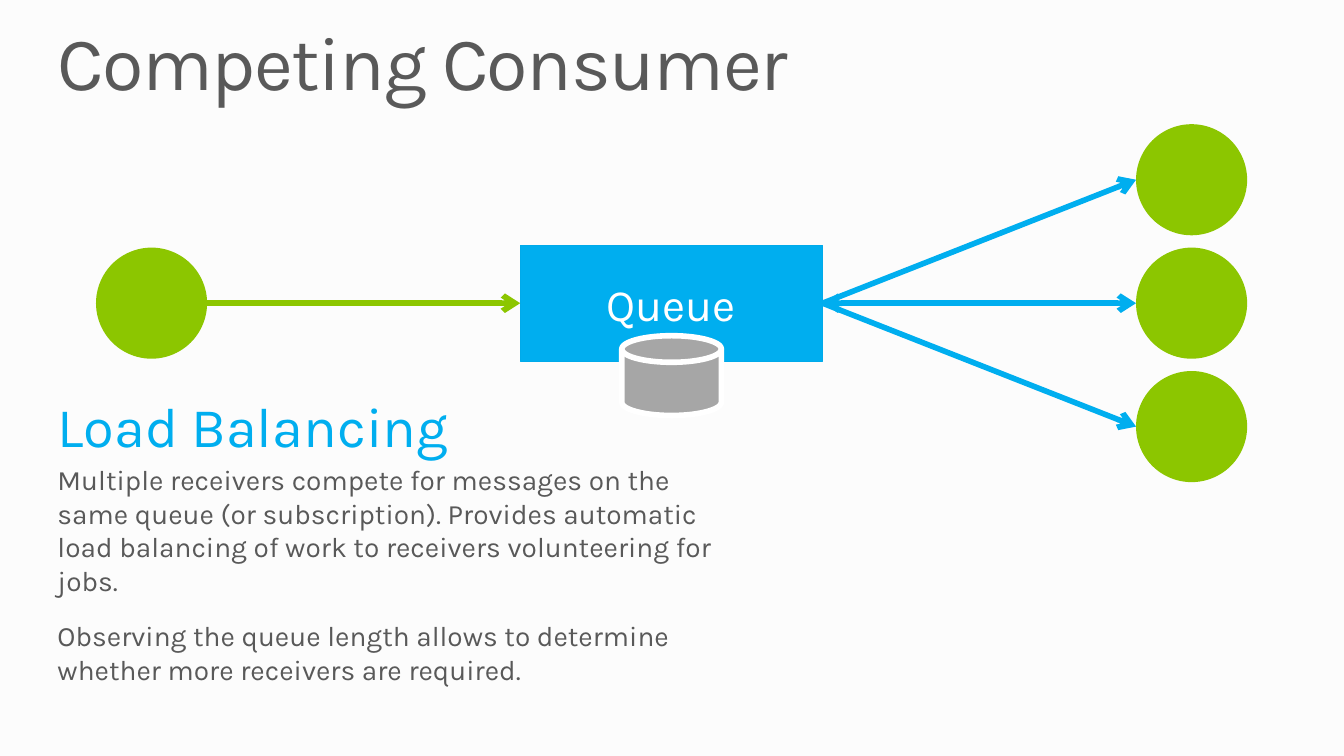
import pptx
import pptx.util
from pptx.dml.color import RGBColor
from pptx.enum.shapes import MSO_CONNECTOR, MSO_SHAPE
from pptx.enum.text import MSO_ANCHOR, PP_ALIGN
from pptx.oxml.ns import qn
from pptx.util import Cm, Pt
from lxml import etree

# Content
TITLE = "Competing Consumer"
HEADING = "Load Balancing"
BODY = [
    "Multiple receivers compete for messages on the same queue (or subscription). "
    "Provides automatic load balancing of work to receivers volunteering for jobs.",
    "Observing the queue length allows to determine whether more receivers are required.",
]
QUEUE_LABEL = "Queue"

# Colours
PAPER = RGBColor(0xFC, 0xFC, 0xFC)
WHITE = RGBColor(0xFF, 0xFF, 0xFF)
DARK = RGBColor(0x59, 0x59, 0x59)
GREY = RGBColor(0xA6, 0xA6, 0xA6)
GREEN = RGBColor(0x8C, 0xC6, 0x00)
BLUE = RGBColor(0x00, 0xAE, 0xEF)
BLUE_EDGE = RGBColor(0x00, 0xAA, 0xEA)

# Text formats
TITLE_FORMAT = {"size": 54, "color": DARK, "line_spacing": 0.9, "tracking": -100}
HEADING_FORMAT = {"size": 40, "color": BLUE}
BODY_FORMATS = [
    {"size": 20, "color": DARK, "space_before": Pt(3)},
    {"size": 20, "color": DARK, "space_before": Pt(15.5)},
]
QUEUE_FORMAT = {"size": 32, "color": WHITE, "alignment": PP_ALIGN.CENTER}

# Diagram measures in centimetres
AXIS = 7.64
DIAMETER = 2.8
SENDER_LEFT, RECEIVER_LEFT = 2.42, 28.63
RECEIVER_PITCH = 3.11
QUEUE_LEFT, QUEUE_WIDTH, QUEUE_HEIGHT = 13.11, 7.62, 2.92
QUEUE_RIGHT = QUEUE_LEFT + QUEUE_WIDTH
STORE_AREA = (15.67, 8.46, 2.51, 2.01)

deck = pptx.Presentation()
deck.slide_width, deck.slide_height = Cm(33.87), Cm(19.05)
page = deck.slides.add_slide(deck.slide_layouts[6])
page.background.fill.solid()
page.background.fill.fore_color.rgb = PAPER


def write(frame, lines):
    for index, (text, style) in enumerate(lines):
        para = frame.paragraphs[0] if index == 0 else frame.add_paragraph()
        span = para.add_run()
        span.text = text
        span.font.name = "Karla"
        for key, value in style.items():
            if key == "size":
                span.font.size = Pt(value)
            elif key == "color":
                span.font.color.rgb = value
            elif key == "tracking":
                span.font._element.set("spc", str(value))
            else:
                setattr(para, key, value)


def add_text(area, lines):
    frame = page.shapes.add_textbox(*map(Cm, area)).text_frame
    frame.word_wrap = True
    frame.margin_left = frame.margin_top = frame.margin_right = frame.margin_bottom = 0
    write(frame, lines)


def add_figure(kind, area, fill, edge=None, weight=0):
    figure = page.shapes.add_shape(kind, *map(Cm, area))
    figure.shadow.inherit = False
    figure.fill.solid()
    figure.fill.fore_color.rgb = fill
    if edge is None:
        figure.line.fill.background()
    else:
        figure.line.color.rgb = edge
        figure.line.width = Pt(weight)
    return figure


def add_circle(left, middle):
    add_figure(MSO_SHAPE.OVAL, (left, middle - DIAMETER / 2, DIAMETER, DIAMETER), GREEN)


def add_arrow(start, end, color, ends=("tailEnd",)):
    arrow = page.shapes.add_connector(MSO_CONNECTOR.STRAIGHT, *map(Cm, start + end))
    arrow.line.color.rgb = color
    arrow.line.width = Pt(4)
    outline = arrow._element.spPr.find(qn("a:ln"))
    for name in ends:
        etree.SubElement(outline, qn("a:" + name)).set("type", "arrow")
    etree.SubElement(arrow._element.spPr, qn("a:effectLst"))
    return arrow


# Title and explanation
add_text((1.45, 0.64, 30.96, 2.08), [(TITLE, TITLE_FORMAT)])
add_text((1.45, 9.86, 17.15, 6.99),
         [(HEADING, HEADING_FORMAT), *zip(BODY, BODY_FORMATS)])

# Queue with its store
queue = add_figure(MSO_SHAPE.RECTANGLE,
                   (QUEUE_LEFT, AXIS - QUEUE_HEIGHT / 2, QUEUE_WIDTH, QUEUE_HEIGHT),
                   BLUE, BLUE_EDGE, 0.75)
queue.text_frame.vertical_anchor = MSO_ANCHOR.MIDDLE
write(queue.text_frame, [(QUEUE_LABEL, QUEUE_FORMAT)])
add_figure(MSO_SHAPE.FLOWCHART_MAGNETIC_DISK, STORE_AREA, GREY, WHITE, 4)

# Sender
add_circle(SENDER_LEFT, AXIS)
sending = add_arrow((SENDER_LEFT + DIAMETER, AXIS), (QUEUE_LEFT, AXIS), GREEN)
sending.end_connect(queue, 1)

# Receivers: the middle arrow points both ways
for step in (-1, 0, 1):
    middle = AXIS + step * RECEIVER_PITCH
    add_circle(RECEIVER_LEFT, middle)
    ends = ("headEnd", "tailEnd") if step == 0 else ("tailEnd",)
    receiving = add_arrow((QUEUE_RIGHT, AXIS), (RECEIVER_LEFT, middle), BLUE, ends)
    receiving.begin_connect(queue, 3)

deck.save("out.pptx")
